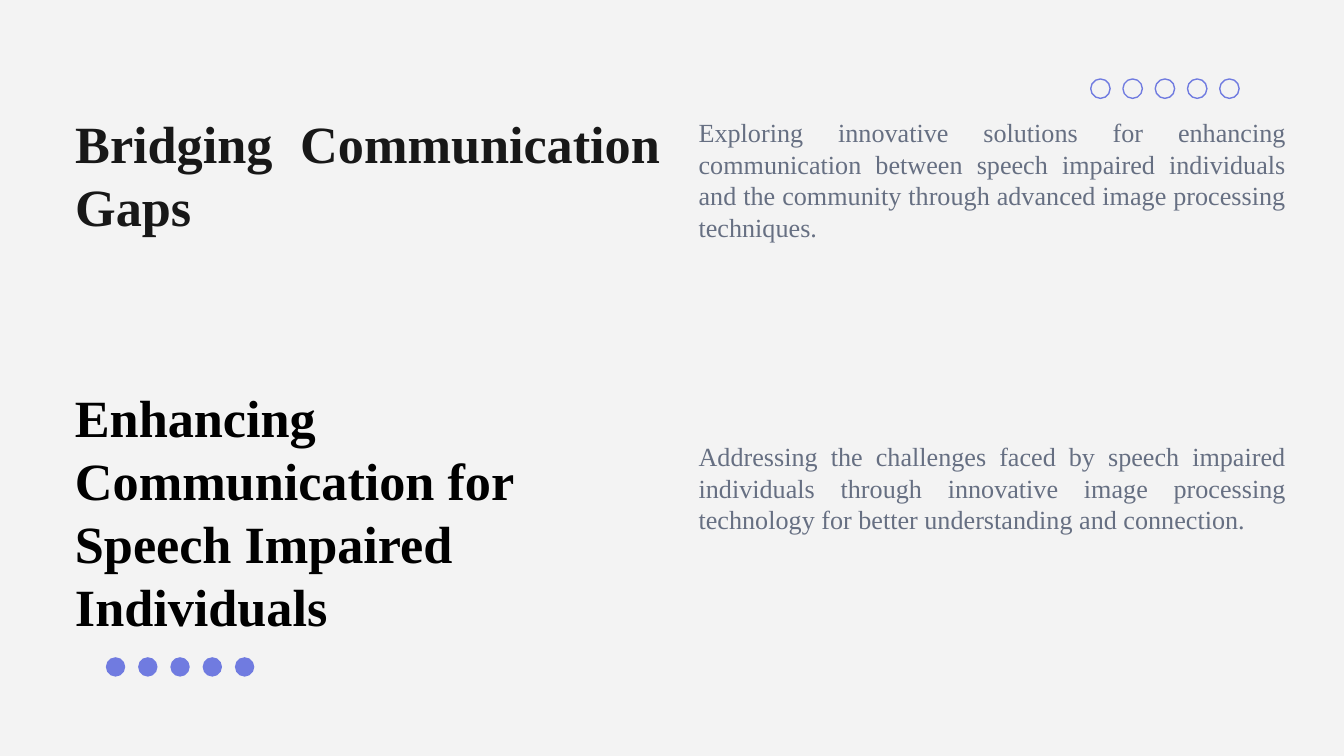
from pptx import Presentation
from pptx.dml.color import RGBColor
from pptx.enum.shapes import MSO_SHAPE as Shape
from pptx.enum.text import MSO_ANCHOR as Anchor, PP_ALIGN as Align
from pptx.util import Pt

FONT = "Times New Roman"
PAPER, INK, BLACK, SLATE, VIOLET = "F3F3F3", "181818", "000000", "666F82", "707BE0"
LEFT, RIGHT, BODY_WIDTH = 33.12, 367.2, 329.04
DOT_SIZE, DOT_STEP, DOT_COUNT = 10.4, 17.28, 5


def color(value):
    return RGBColor.from_string(value)


def place(box, left, top, width, height):
    box.left, box.top, box.width, box.height = map(Pt, (left, top, width, height))


def write(box, text, size, ink, bold=False, align=Align.JUSTIFY):
    frame = box.text_frame
    frame.word_wrap = True
    frame.vertical_anchor = Anchor.TOP
    frame.text = text
    para = frame.paragraphs[0]
    para.alignment = align
    font = para.font
    font.name, font.size, font.bold = FONT, Pt(size), bold
    font.color.rgb = color(ink)


def add_title(page, text):
    title = page.shapes.title
    place(title, LEFT, 52.56, 327.6, 109.44)
    write(title, text, 28, INK, bold=True)
    frame = title.text_frame
    frame.margin_left = frame.margin_right = Pt(7.2)
    frame.margin_top = frame.margin_bottom = Pt(7.2)


def add_text(page, bounds, text, *style, **options):
    box = page.shapes.add_textbox(*map(Pt, bounds))
    write(box, text, *style, **options)


def add_dots(page, left, top, filled):
    """Add a grouped row of evenly spaced dots, either filled or outlined."""
    row = page.shapes.add_group_shape()
    for index in range(DOT_COUNT):
        dot = row.shapes.add_shape(Shape.OVAL, Pt(left + index * DOT_STEP), Pt(top),
                                   Pt(DOT_SIZE), Pt(DOT_SIZE))
        dot.shadow.inherit = False
        if filled:
            dot.fill.solid()
            dot.fill.fore_color.rgb = color(VIOLET)
            dot.line.fill.background()
        else:
            dot.fill.background()
            dot.line.color.rgb = color(VIOLET)
            dot.line.width = Pt(0.75)


def main():
    deck = Presentation()
    deck.slide_width, deck.slide_height = Pt(720), Pt(405)
    page = deck.slides.add_slide(deck.slide_layouts.get_by_name("Title Only"))
    page.background.fill.solid()
    page.background.fill.fore_color.rgb = color(PAPER)

    add_title(page, "Bridging Communication Gaps")
    add_dots(page, 584.3, 42.3, filled=False)
    add_dots(page, 56.7, 352.1, filled=True)
    add_text(page, (RIGHT, 59.04, BODY_WIDTH, 74.88),
             "Exploring innovative solutions for enhancing communication between "
             "speech impaired individuals and the community through advanced image "
             "processing techniques.", 14, SLATE)
    add_text(page, (LEFT, 203.04, 334.08, 143.28),
             "Enhancing Communication for Speech Impaired Individuals",
             28, BLACK, bold=True, align=Align.LEFT)
    add_text(page, (RIGHT, 232.56, BODY_WIDTH, 58.32),
             "Addressing the challenges faced by speech impaired individuals through "
             "innovative image processing technology for better understanding and "
             "connection.", 14, SLATE)
    deck.save("out.pptx")


if __name__ == "__main__":
    main()
